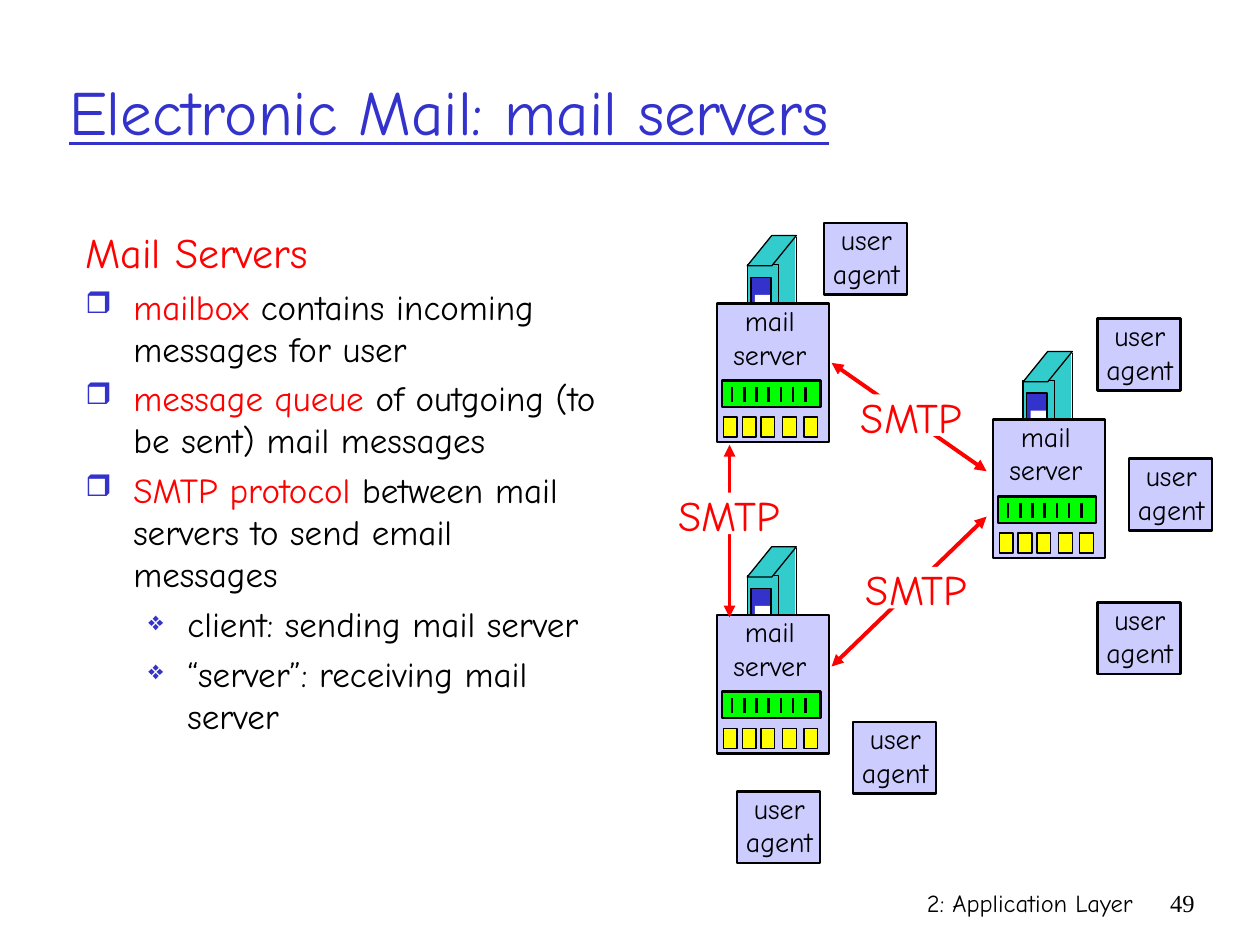
from lxml.etree import SubElement
from pptx import Presentation
from pptx.dml.color import RGBColor
from pptx.enum.shapes import MSO_CONNECTOR as LINK, MSO_SHAPE as SHAPE
from pptx.enum.text import MSO_ANCHOR as ANCHOR, PP_ALIGN as ALIGN
from pptx.oxml.ns import qn
from pptx.util import Inches, Pt

BLACK = RGBColor(0x00, 0x00, 0x00)
WHITE = RGBColor(0xFF, 0xFF, 0xFF)
RED = RGBColor(0xFF, 0x00, 0x00)
BLUE = RGBColor(0x33, 0x33, 0xCC)
TEAL = RGBColor(0x33, 0xCC, 0xCC)
LILAC = RGBColor(0xCC, 0xCC, 0xFF)
GREEN = RGBColor(0x00, 0xFF, 0x00)
YELLOW = RGBColor(0xFF, 0xFF, 0x00)

COMIC = "Comic Neue"
FORMATS = {
    "title": {"name": COMIC, "size": Pt(36), "underline": True},
    "head": {"name": COMIC, "size": Pt(24)},
    "body": {"name": COMIC, "size": Pt(20)},
    "label": {"name": COMIC, "size": Pt(16)},
    "foot": {"name": COMIC, "size": Pt(14)},
    "page": {"name": "Times New Roman", "size": Pt(14)},
}

deck = Presentation()
deck.slide_width, deck.slide_height = Inches(10), Inches(7.5)
slide = deck.slides.add_slide(deck.slide_layouts[6])
shapes = slide.shapes

# The grid has 100 columns and 75 rows.
COL = deck.slide_width / 100
ROW = deck.slide_height / 75


def box(x, y, w, h, fill=None, edge=0, kind=SHAPE.RECTANGLE):
    """Add a filled shape, or a text box when there is no fill."""
    place = [round(n) for n in (x * COL, y * ROW, w * COL, h * ROW)]
    if fill is None:
        return shapes.add_textbox(*place).text_frame
    item = shapes.add_shape(kind, *place)
    item.shadow.inherit = False
    item.fill.solid()
    item.fill.fore_color.rgb = fill
    if edge:
        item.line.color.rgb = BLACK
        item.line.width = Pt(edge)
    else:
        item.line.fill.background()
    return item


def wire(x1, y1, x2, y2, color, width, heads=()):
    """Add a straight line with the given arrowhead tags."""
    ends = [round(n) for n in (x1 * COL, y1 * ROW, x2 * COL, y2 * ROW)]
    item = shapes.add_connector(LINK.STRAIGHT, *ends)
    item.line.color.rgb = color
    item.line.width = Pt(width)
    props = item._element.spPr
    for tag in heads:
        SubElement(props.find(qn("a:ln")), qn(tag), type="triangle")
    SubElement(props, qn("a:effectLst"))


# Texts to write at the end: place, lines, format, colour, alignment, wrap
texts = [
    ((59.2, 70, 31.7, 5), ["2: Application Layer"], "foot", BLACK, ALIGN.RIGHT, True),
    ((90.8, 70, 5, 5), ["49"], "page", BLACK, ALIGN.RIGHT, True),
    ((4.5, 2.5, 85, 12.5), ["Electronic Mail: mail servers"], "title", BLUE, ALIGN.LEFT, True),
]

# Body: level, red words, black words
points = [
    (0, "Mail Servers", ""),
    (1, "mailbox", " contains incoming messages for user"),
    (1, "message queue", " of outgoing (to be sent) mail messages"),
    (1, "SMTP protocol", " between mail servers to send email messages"),
    (2, "", "client: sending mail server"),
    (2, "", "“server”: receiving mail server"),
]
# Per level: left margin, hanging indent, bullet, bullet size, format
levels = [
    (3.8, 3.8, None, None, "head"),
    (3.8, 3.8, "❒", "85000", "body"),
    (8.1, 3.1, "❖", "75000", "body"),
]
frame = box(5.8, 17.5, 43, 50.8)
frame.word_wrap = True
for n, (level, red, black) in enumerate(points):
    left, hang, mark, scale, style = levels[level]
    para = frame.add_paragraph() if n else frame.paragraphs[0]
    props = para._p.get_or_add_pPr()
    props.set("marL", str(round(left * COL)))
    props.set("indent", str(round(-hang * COL)))
    if mark:
        tint = SubElement(props, qn("a:buClr"))
        SubElement(tint, qn("a:srgbClr"), val=str(BLUE))
        SubElement(props, qn("a:buSzPct"), val=scale)
        SubElement(props, qn("a:buChar"), char=mark)
    if n:
        para.space_before = Pt(4.5)
    for words, color in ((red, RED), (black, BLACK)):
        if words:
            run = para.add_run()
            run.text = words
            run.font.color.rgb = color
            for key, value in FORMATS[style].items():
                setattr(run.font, key, value)

# Mail servers: tower behind, then the case with its queue and mailboxes
for x, y in ((78.8, 33.3), (56.9, 48.8), (56.9, 24.1)):
    box(x + 4.4, y - 5.4, 1.8, 7.8, TEAL)
    box(x + 2.4, y - 3.1, 2.5, 7.8, TEAL, 0.75)
    top = box(x + 2.4, y - 5.4, 3.9, 2.4, TEAL, 0.75, SHAPE.PARALLELOGRAM)
    top.adjustments[0] = 0.81
    wire(x + 6.3, y - 5.3, x + 6.3, y + 2.4, BLACK, 0.75)
    box(x + 2.7, y - 2.1, 1.6, 4.5, BLUE, 0.75)
    box(x + 3, y - 0.7, 1.2, 1.6, WHITE)
    box(x, y, 8.9, 11, LILAC, 1.5)
    box(x + 0.4, y + 6.1, 7.8, 2.1, GREEN, 1.5)
    for n in range(7):
        slot = x + 1.2 + 0.97 * n
        wire(slot, y + 6.6, slot, y + 7.8, BLACK, 1.5)
    for step in (0.5, 2, 3.5, 5.2, 6.9):
        box(x + step, y + 9, 1.1, 1.6, YELLOW, 0.75)
    texts.append(((x - 0.2, y - 0.5, 8.8, 6.4), ["mail", "server"],
                  "label", BLACK, ALIGN.CENTER, False))

# User agents
for x, y in ((87.1, 25.3), (89.6, 36.4), (87.1, 47.8),
             (67.7, 57.3), (58.5, 62.8), (65.4, 17.7)):
    box(x, y, 6.6, 5.7, LILAC, 1.5)
    texts.append(((x - 0.55, y - 0.5, 7.8, 6.4), ["user", "agent"],
                  "label", BLACK, ALIGN.CENTER, False))

# SMTP links: arrow ends, then the corner of the label's white ground
for ends, (x, y) in (
    ((66, 28.8, 78.3, 37.4), (67.6, 31.3)),
    ((66, 52.9, 78.3, 41), (68, 45)),
    ((57.9, 49, 57.9, 35.3), (53.1, 39.1)),
):
    wire(*ends, RED, 2.25, ("a:headEnd", "a:tailEnd"))
    box(x, y, 9.4, 3.3, WHITE)
    texts.append(((x - 0.9, y - 0.75, 11.3, 5), ["SMTP"],
                  "head", RED, ALIGN.CENTER, False))

for place, lines, style, color, align, wrap in texts:
    frame = box(*place)
    frame.word_wrap = wrap
    frame.vertical_anchor = ANCHOR.MIDDLE if style == "title" else ANCHOR.TOP
    frame.text = "\n".join(lines)
    for para in frame.paragraphs:
        para.alignment = align
        font = para.runs[0].font
        font.color.rgb = color
        for key, value in FORMATS[style].items():
            setattr(font, key, value)

deck.save("out.pptx")
